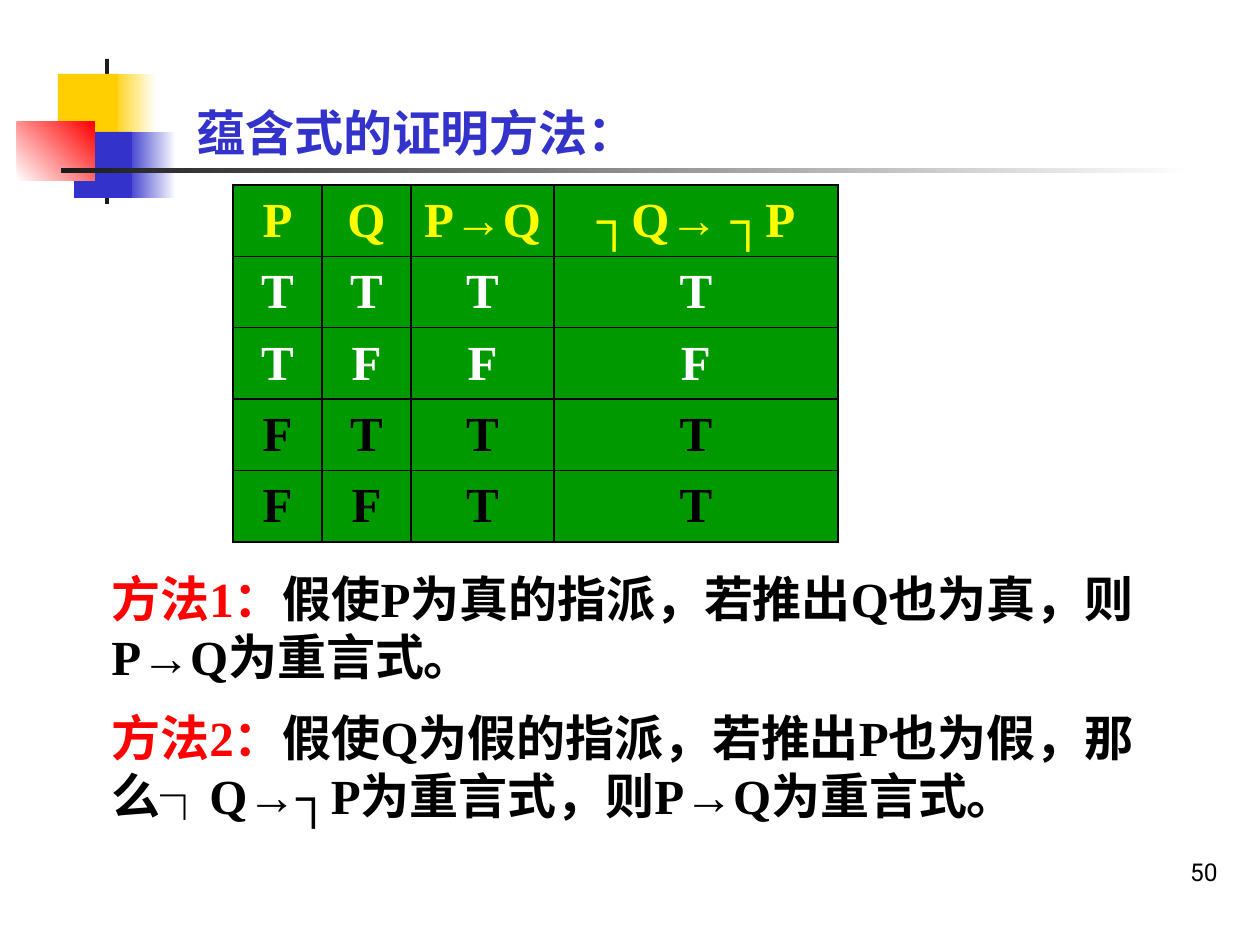
from dataclasses import dataclass

from lxml.etree import SubElement
from pptx import Presentation
from pptx.dml.color import RGBColor
from pptx.enum.shapes import MSO_SHAPE
from pptx.enum.text import MSO_ANCHOR, PP_ALIGN
from pptx.oxml import parse_xml
from pptx.oxml.ns import nsdecls, qn
from pptx.util import Emu, Pt

PIXELS_PER_INCH = 126


def px(length: int) -> Emu:
    return Emu(round(length * 914400 / PIXELS_PER_INCH))


@dataclass(frozen=True)
class Theme:
    yellow: str = "FFCF01"
    blue: str = "3333CC"
    red: str = "FF0000"
    dark: str = "1C1C1C"
    black: str = "000000"
    white: str = "FFFFFF"
    header: str = "FFFF00"
    cell: str = "009900"
    sans: str = "Roboto"
    serif: str = "Times New Roman"
    body_size: int = 28
    number_size: int = 14
    border_width: int = 1


THEME = Theme()


@dataclass(frozen=True)
class Area:
    left: int
    top: int
    width: int
    height: int

    def emu(self) -> tuple:
        return px(self.left), px(self.top), px(self.width), px(self.height)


@dataclass(frozen=True)
class Block:
    area: Area
    colors: tuple
    angle: int = 0


@dataclass(frozen=True)
class Span:
    text: str
    color: str
    font: str = THEME.serif
    size: int = THEME.body_size
    bold: bool = True


@dataclass(frozen=True)
class Passage:
    area: Area
    spans: tuple
    wrap: bool = True
    align: PP_ALIGN = PP_ALIGN.LEFT
    anchor: MSO_ANCHOR = MSO_ANCHOR.TOP


@dataclass(frozen=True)
class TruthRow:
    values: tuple
    color: str


BLOCKS = (
    Block(Area(111, 74, 45, 66), (THEME.yellow, THEME.white)),
    Block(Area(126, 132, 50, 66), (THEME.blue, THEME.white)),
    Block(Area(105, 59, 4, 145), (THEME.dark,)),
    Block(Area(58, 74, 60, 66), (THEME.yellow,)),
    Block(Area(74, 132, 58, 66), (THEME.blue,)),
    Block(Area(17, 122, 78, 59), (THEME.white, THEME.red), 45),
    Block(Area(61, 168, 1134, 5), (THEME.dark, THEME.white)),
)

PASSAGES = (
    Passage(
        Area(968, 830, 262, 63),
        (Span("50", THEME.black, THEME.sans, THEME.number_size, False),),
        align=PP_ALIGN.RIGHT,
        anchor=MSO_ANCHOR.BOTTOM,
    ),
    Passage(
        Area(99, 562, 1062, 130),
        (
            Span("方法1：", THEME.red),
            Span("假使P为真的指派，若推出Q也为真，则P→Q为重言式。", THEME.black),
        ),
    ),
    Passage(
        Area(184, 96, 469, 72),
        (Span("蕴含式的证明方法：", THEME.blue, THEME.sans),),
        wrap=False,
    ),
    Passage(
        Area(99, 701, 1091, 130),
        (
            Span("方法2：", THEME.red),
            Span("假使Q为假的指派，若推出P也为假，那么┐Q→┐P为重言式，则P→Q为重言式。", THEME.black),
        ),
    ),
)

TABLE_AREA = Area(233, 185, 605, 357)
COLUMN_WIDTHS = (89, 89, 143, 284)
TRUTH_ROWS = (
    TruthRow(("P", "Q", "P→Q", "┐Q→ ┐P"), THEME.header),
    TruthRow(("T", "T", "T", "T"), THEME.white),
    TruthRow(("T", "F", "F", "F"), THEME.white),
    TruthRow(("F", "T", "T", "T"), THEME.black),
    TruthRow(("F", "F", "T", "T"), THEME.black),
)


def rgb(color: str) -> RGBColor:
    return RGBColor.from_string(color)


def add_span(para, span: Span) -> None:
    run = para.add_run()
    run.text = span.text
    run.font.name = span.font
    run.font.size = Pt(span.size)
    run.font.bold = span.bold
    run.font.color.rgb = rgb(span.color)


def draw_block(page, block: Block) -> None:
    shape = page.shapes.add_shape(MSO_SHAPE.RECTANGLE, *block.area.emu())
    shape.shadow.inherit = False
    shape.line.fill.background()
    if len(block.colors) == 1:
        shape.fill.solid()
        shape.fill.fore_color.rgb = rgb(block.colors[0])
        return
    shape.fill.gradient()
    shape.fill.gradient_angle = block.angle
    for stop, color in zip(shape.fill.gradient_stops, block.colors):
        stop.color.rgb = rgb(color)


def draw_passage(page, passage: Passage) -> None:
    frame = page.shapes.add_textbox(*passage.area.emu()).text_frame
    frame.word_wrap = passage.wrap
    frame.vertical_anchor = passage.anchor
    para = frame.paragraphs[0]
    para.alignment = passage.align
    for span in passage.spans:
        add_span(para, span)


def add_borders(cell) -> None:
    properties = cell._tc.get_or_add_tcPr()
    for index, side in enumerate(("lnL", "lnR", "lnT", "lnB")):
        border = parse_xml(f'<a:{side} {nsdecls("a")} w="{Pt(THEME.border_width)}"/>')
        fill = SubElement(border, qn("a:solidFill"))
        SubElement(fill, qn("a:srgbClr"), val=THEME.black)
        properties.insert(index, border)


def draw_truth_table(page) -> None:
    table = page.shapes.add_table(
        len(TRUTH_ROWS), len(COLUMN_WIDTHS), *TABLE_AREA.emu()
    ).table
    table.first_row = False
    table.horz_banding = False
    for column, width in zip(table.columns, COLUMN_WIDTHS):
        column.width = px(width)
    for row, truth in zip(table.rows, TRUTH_ROWS):
        row.height = px(TABLE_AREA.height) // len(TRUTH_ROWS)
        for cell, value in zip(row.cells, truth.values):
            cell.fill.solid()
            cell.fill.fore_color.rgb = rgb(THEME.cell)
            cell.vertical_anchor = MSO_ANCHOR.MIDDLE
            add_borders(cell)
            para = cell.text_frame.paragraphs[0]
            para.alignment = PP_ALIGN.CENTER
            add_span(para, Span(value, truth.color))


def main() -> None:
    deck = Presentation()
    deck.slide_width, deck.slide_height = px(1260), px(945)
    page = deck.slides.add_slide(deck.slide_layouts[6])
    for block in BLOCKS:
        draw_block(page, block)
    draw_truth_table(page)
    for passage in PASSAGES:
        draw_passage(page, passage)
    deck.save("out.pptx")


if __name__ == "__main__":
    main()
